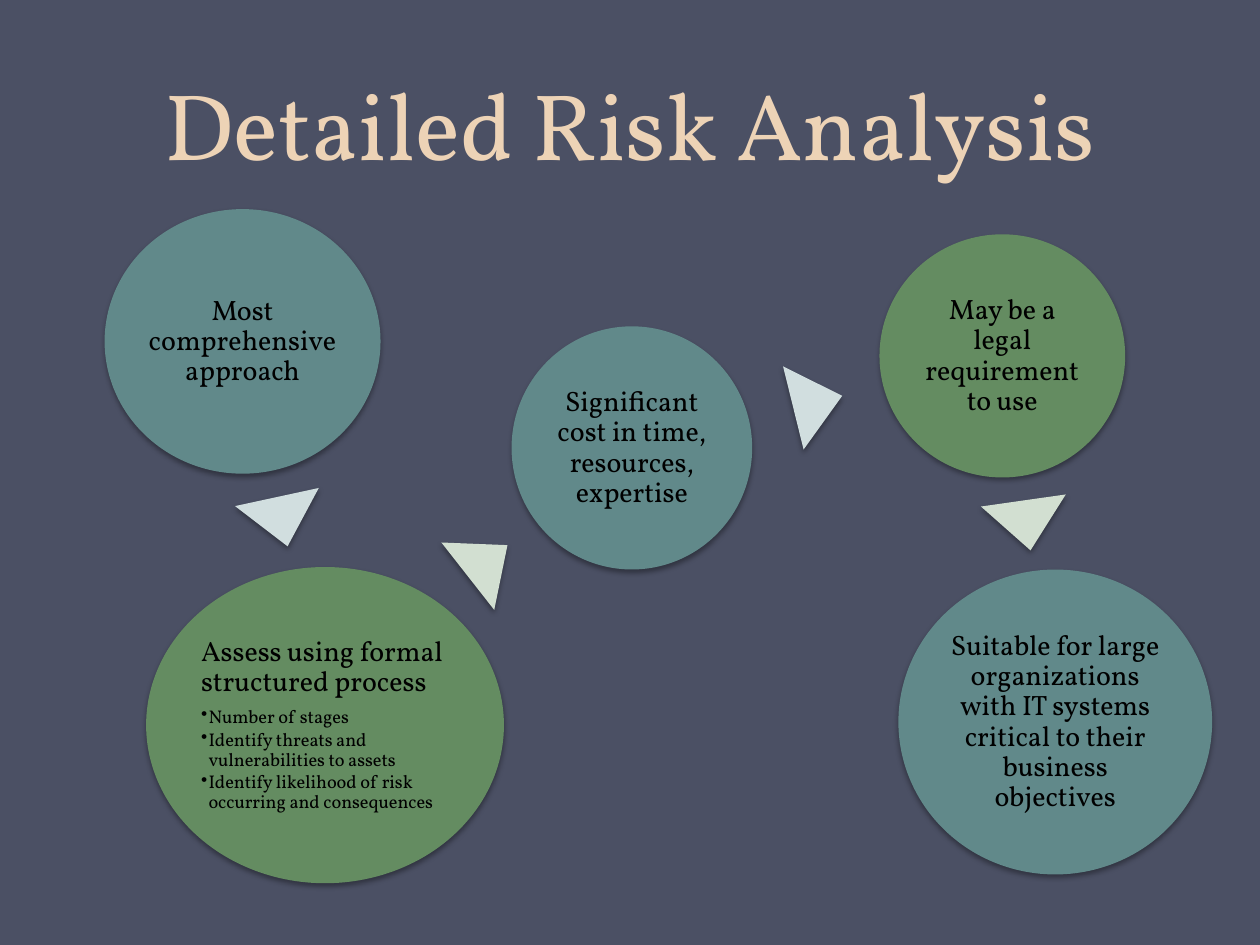
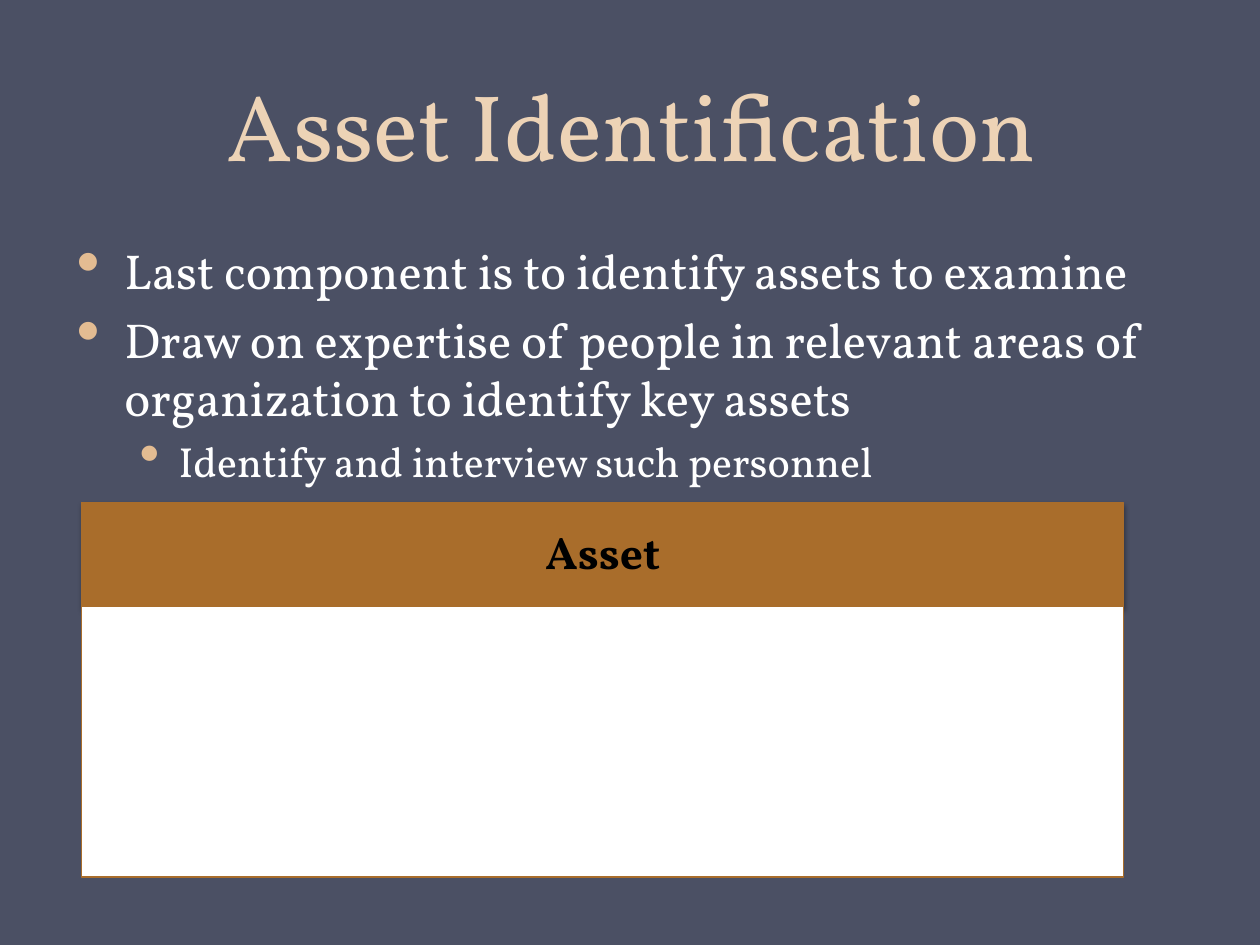
from dataclasses import dataclass
from typing import Optional

from lxml.etree import SubElement
from pptx import Presentation
from pptx.dml.color import RGBColor
from pptx.enum.shapes import MSO_SHAPE as Preset
from pptx.enum.text import MSO_ANCHOR as Anchor, PP_ALIGN as Align
from pptx.oxml.ns import qn
from pptx.util import Inches, Pt


@dataclass(frozen=True)
class Theme:
    font: str = "Vollkorn"
    background: str = "4B5064"
    title: str = "EDD3B6"
    bullet: str = "E3BC92"
    dark: str = "000000"
    light: str = "FFFFFF"
    teal: str = "61898A"
    green: str = "648C61"
    pale_teal: str = "D1DEDF"
    pale_green: str = "D2DFD1"
    bronze: str = "A96D2B"
    title_size: float = 54
    title_leading: float = 58
    body_size: float = 28
    sub_body_size: float = 24
    header_size: float = 26
    circle_size: float = 16
    detail_size: float = 10.5


THEME = Theme()


@dataclass(frozen=True)
class Box:
    left: float
    top: float
    width: float
    height: float

    def lengths(self) -> tuple:
        return tuple(Inches(v) for v in (self.left, self.top, self.width, self.height))


@dataclass(frozen=True)
class Bullet:
    margin: float
    hang: float
    color: Optional[str] = None
    percent: int = 100


@dataclass(frozen=True)
class Line:
    """A paragraph and its look."""
    text: str
    size: float
    color: str = THEME.dark
    align: Align = Align.LEFT
    bold: bool = False
    spacing: object = None
    before: float = 0
    after: float = 0
    level: int = 0
    bullet: Optional[Bullet] = None


@dataclass(frozen=True)
class Circle:
    box: Box
    color: str
    lines: tuple


@dataclass(frozen=True)
class Pointer:
    left: float
    top: float
    rotation: float
    color: str


def compact(text: str, size: float = THEME.circle_size, after: float = 0.35, **look) -> Line:
    """Tight line whose space after is a share of its size."""
    return Line(text, size, spacing=0.9, after=round(size * after, 1), **look)


def detail(text: str) -> Line:
    return compact(text, THEME.detail_size, 0.15, level=1, bullet=Bullet(0.06, 0.06))


def body(text: str, level: int = 0, first: bool = False) -> Line:
    size = (THEME.body_size, THEME.sub_body_size)[level]
    margin, hang = ((0.38, 0.38), (0.81, 0.31))[level]
    return Line(text, size, THEME.light, before=0 if first else round(size * 0.2, 1),
                level=level, bullet=Bullet(margin, hang, THEME.bullet, 140))


def centered(text: str) -> tuple:
    return (compact(text, align=Align.CENTER),)


CIRCLES = (
    Circle(Box(0.83, 1.66, 2.19, 2.1), THEME.teal, centered("Most comprehensive approach")),
    Circle(Box(1.16, 4.5, 2.84, 2.51), THEME.green, (
        compact("Assess using formal structured process"),
        detail("Number of stages"),
        detail("Identify threats and vulnerabilities to assets"),
        detail("Identify likelihood of risk occurring and consequences"))),
    Circle(Box(4.06, 2.59, 1.91, 1.93), THEME.teal,
           centered("Significant cost in time, resources, expertise")),
    Circle(Box(6.98, 1.86, 1.95, 1.93), THEME.green,
           centered("May be a legal requirement to use")),
    Circle(Box(7.13, 4.52, 2.49, 2.42), THEME.teal, centered(
        "Suitable for large organizations with IT systems critical to their business objectives")),
)
POINTERS = (
    Pointer(1.9, 3.94, 167.8, THEME.pale_teal),
    Pointer(3.53, 4.25, 51.9, THEME.pale_green),
    Pointer(6.15, 2.99, 76.1, THEME.pale_teal),
    Pointer(7.81, 3.97, 171.9, THEME.pale_green),
)


def rgb(color: str) -> RGBColor:
    return RGBColor.from_string(color)


def add_bullet(paragraph, bullet: Bullet) -> None:
    props = paragraph._p.get_or_add_pPr()
    props.set("marL", str(Inches(bullet.margin)))
    props.set("indent", str(-Inches(bullet.hang)))
    if bullet.color:
        SubElement(SubElement(props, qn("a:buClr")), qn("a:srgbClr"), val=bullet.color)
    SubElement(props, qn("a:buSzPct"), val=str(bullet.percent * 1000))
    SubElement(props, qn("a:buChar"), char="•")


def write(shape, lines: tuple, anchor: Anchor, inset_x: float = 0.1, inset_y: float = 0.05) -> None:
    frame = shape.text_frame
    frame.word_wrap = True
    frame.vertical_anchor = anchor
    frame.margin_left = frame.margin_right = Inches(inset_x)
    frame.margin_top = frame.margin_bottom = Inches(inset_y)
    frame.text = "\n".join(line.text for line in lines)
    for paragraph, line in zip(frame.paragraphs, lines):
        paragraph.level = line.level
        if line.bullet:
            add_bullet(paragraph, line.bullet)
        paragraph.alignment = line.align
        paragraph.line_spacing = line.spacing
        paragraph.space_before, paragraph.space_after = Pt(line.before), Pt(line.after)
        for run in paragraph.runs:
            run.font.name = THEME.font
            run.font.size = Pt(line.size)
            run.font.bold = line.bold
            run.font.color.rgb = rgb(line.color)


def add_panel(slide, preset: Preset, box: Box, fill: str,
              outline: Optional[str] = None, shadow: bool = True):
    panel = slide.shapes.add_shape(preset, *box.lengths())
    panel.fill.solid()
    panel.fill.fore_color.rgb = rgb(fill)
    if outline:
        panel.line.color.rgb = rgb(outline)
        panel.line.width = Pt(0.75)
    else:
        panel.line.fill.background()
    panel.shadow.inherit = False
    if shadow:
        effects = panel._element.spPr.find(qn("a:effectLst"))
        outer = SubElement(effects, qn("a:outerShdw"), blurRad=str(Pt(3.1)),
                           dist=str(Pt(1.8)), dir="5400000", rotWithShape="0")
        tint = SubElement(outer, qn("a:srgbClr"), val=THEME.dark)
        SubElement(tint, qn("a:alpha"), val="35000")
    return panel


def add_text(slide, box: Box, lines: tuple, anchor: Anchor) -> None:
    write(slide.shapes.add_textbox(*box.lengths()), lines, anchor)


def new_slide(deck, title: str, title_box: Box):
    slide = deck.slides.add_slide(deck.slide_layouts[6])
    slide.background.fill.solid()
    slide.background.fill.fore_color.rgb = rgb(THEME.background)
    heading = Line(title, THEME.title_size, THEME.title, Align.CENTER,
                   spacing=Pt(THEME.title_leading))
    add_text(slide, title_box, (heading,), Anchor.BOTTOM)
    return slide


def build_risk_analysis(deck) -> None:
    slide = new_slide(deck, "Detailed Risk Analysis", Box(0.5, 0, 9, 1.47))
    for circle in CIRCLES:
        disc = add_panel(slide, Preset.OVAL, circle.box, circle.color)
        write(disc, circle.lines, Anchor.MIDDLE, 0.02, 0.02)
    for pointer in POINTERS:
        box = Box(pointer.left, pointer.top, 0.68, 0.4)
        triangle = add_panel(slide, Preset.ISOSCELES_TRIANGLE, box, pointer.color)
        triangle.rotation = pointer.rotation


def build_asset_identification(deck) -> None:
    slide = new_slide(deck, "Asset Identification", Box(0.51, -0.27, 9, 1.75))
    add_text(slide, Box(0.51, 1.86, 9, 5.33), (
        body("Last component is to identify assets to examine", first=True),
        body("Draw on expertise of people in relevant areas of organization to identify key assets"),
        body("Identify and interview such personnel", level=1)), Anchor.TOP)
    header = add_panel(slide, Preset.RECTANGLE, Box(0.65, 3.99, 8.27, 0.82),
                       THEME.bronze, THEME.bronze)
    asset = compact("Asset", THEME.header_size, align=Align.CENTER, bold=True)
    write(header, (asset,), Anchor.MIDDLE, 0.2, 0.12)
    add_panel(slide, Preset.RECTANGLE, Box(0.65, 4.81, 8.27, 2.15),
              THEME.light, THEME.bronze, shadow=False)


def main() -> None:
    deck = Presentation()
    deck.slide_width, deck.slide_height = Inches(10), Inches(7.5)
    build_risk_analysis(deck)
    build_asset_identification(deck)
    deck.save("out.pptx")


if __name__ == "__main__":
    main()
